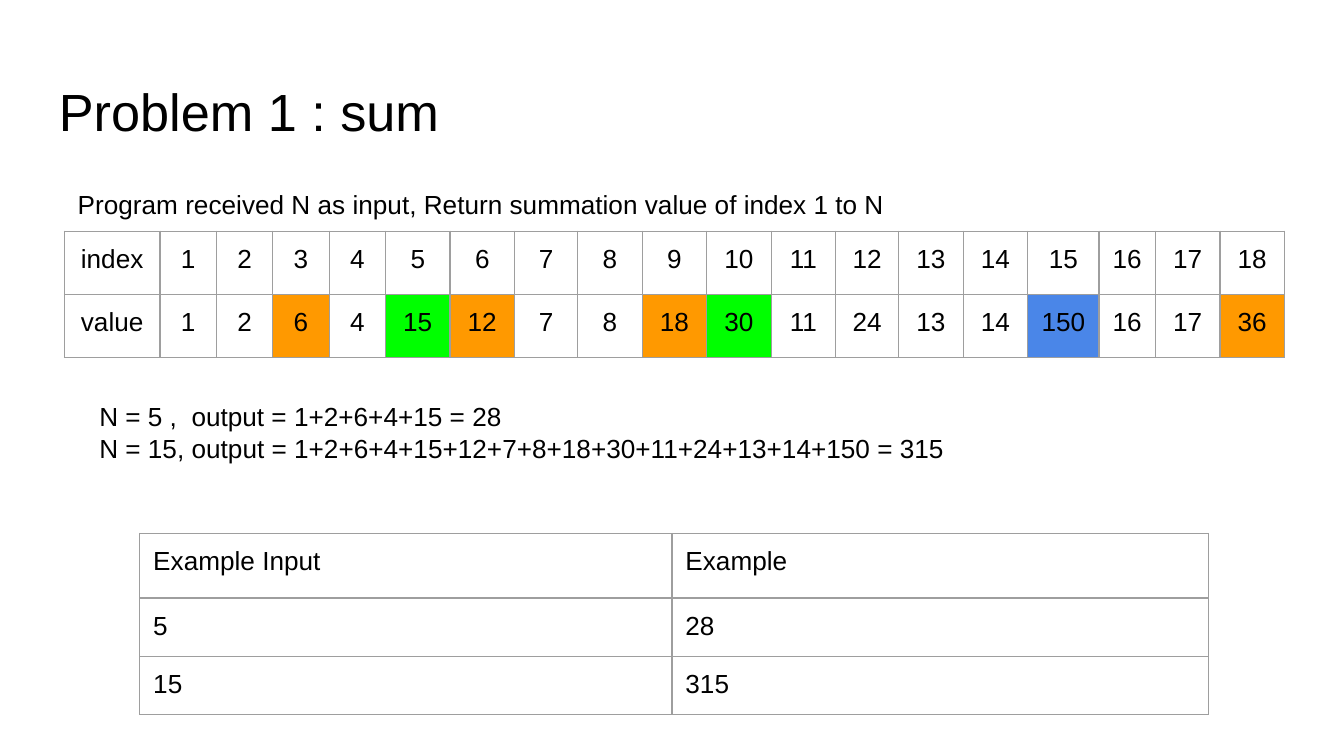
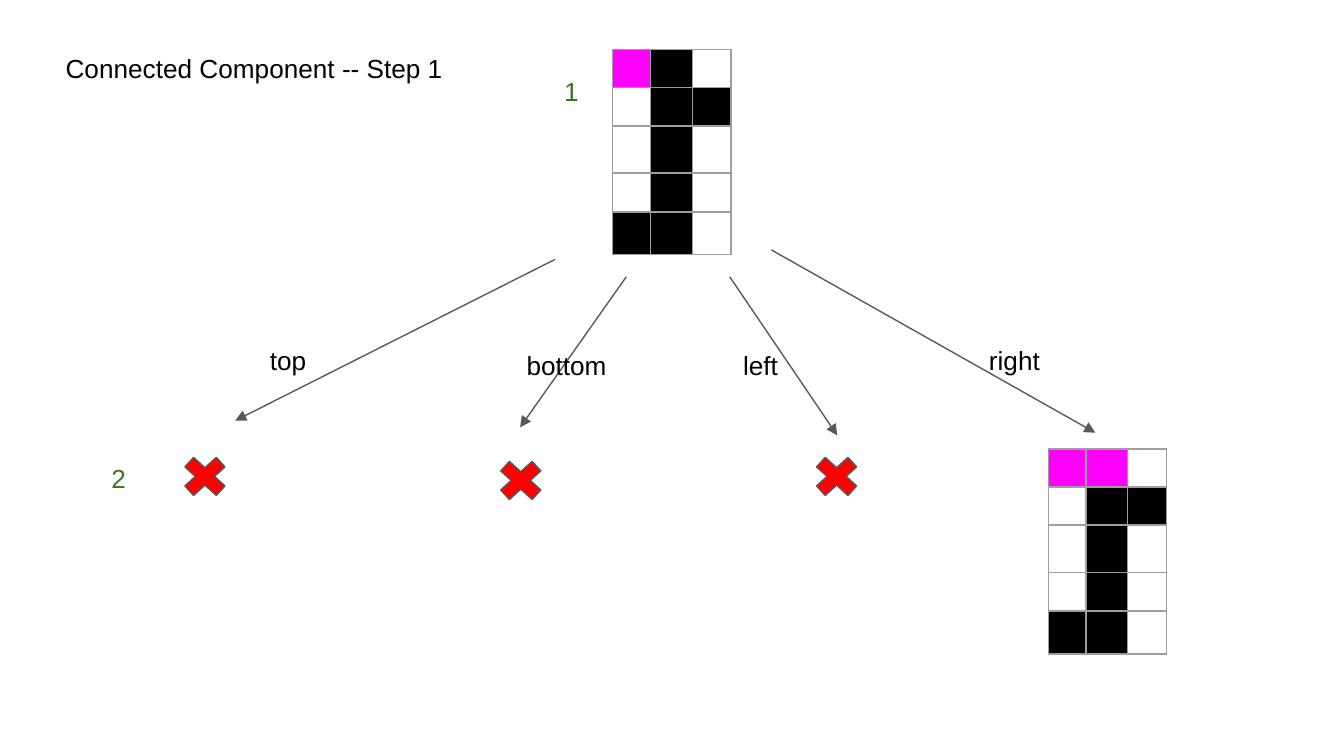
import pptx
import pptx.util
import pptx.dml.color
import pptx.enum.shapes
import pptx.enum.text
import pptx.oxml
import pptx.oxml.ns
import lxml.etree

PX = 9144  # 100 px to the inch
FONT = "Arial"
INSET = 10
COLORS = {
    "ink": "000000",
    "paper": "FFFFFF",
    "edge": "9E9E9E",
    "line": "595959",
    "orange": "FF9900",
    "lime": "00FF00",
    "blue": "4A86E8",
    "pink": "FF00FF",
    "red": "FF0000",
    "green": "38761D",
}
ALIGN = pptx.enum.text.PP_ALIGN


def px(size):
    return pptx.util.Emu(size * PX)


def rgb(name):
    return pptx.dml.color.RGBColor.from_string(COLORS[name])


def child(node, tag, **attrs):
    return lxml.etree.SubElement(node, pptx.oxml.ns.qn(tag), **attrs)


def write(frame, text, size=14, color="ink", align=ALIGN.LEFT):
    """Fill a text frame, one paragraph a line."""
    for i, line in enumerate(text.split("\n")):
        para = frame.add_paragraph() if i else frame.paragraphs[0]
        para.alignment = align
        run = para.add_run()
        run.text = line
        run.font.name = FONT
        run.font.size = pptx.util.Pt(size)
        run.font.color.rgb = rgb(color)


def pad(item):
    """Set the same inset on all sides of a cell or text frame."""
    item.margin_left = item.margin_right = px(INSET)
    item.margin_top = item.margin_bottom = px(INSET)


def label(slide, text, left, top, width, height, **style):
    box = slide.shapes.add_textbox(px(left), px(top), px(width), px(height))
    frame = box.text_frame
    frame.word_wrap = True
    pad(frame)
    write(frame, text, **style)


def stroke(line):
    line.color.rgb = rgb("line")
    line.width = pptx.util.Pt(0.75)


def edge(cell):
    """Draw the four borders of a cell."""
    props = cell._tc.get_or_add_tcPr()
    for tag in ("a:lnL", "a:lnR", "a:lnT", "a:lnB"):
        line = child(props, tag, w="9525")
        child(child(line, "a:solidFill"), "a:srgbClr", val=COLORS["edge"])


def table(slide, left, top, cols, rows):
    """Add a bordered table without fills."""
    grid = slide.shapes.add_table(
        len(rows), len(cols), px(left), px(top), px(sum(cols)), px(sum(rows))
    ).table
    grid.first_row = grid.horz_banding = False
    for col, width in zip(grid.columns, cols):
        col.width = px(width)
    for row, height in zip(grid.rows, rows):
        row.height = px(height)
    for cell in grid.iter_cells():
        pad(cell)
        edge(cell)
        cell.fill.background()
    return grid


def fill(grid, lines, align=ALIGN.LEFT):
    """Write rows of items into the cells."""
    for r, line in enumerate(lines):
        for c, item in enumerate(line):
            write(grid.cell(r, c).text_frame, str(item), align=align)


def paint(cell, color):
    cell.fill.solid()
    cell.fill.fore_color.rgb = rgb(color)


def series(slide, left, top):
    """Table of indexes and values, with the special values marked."""
    values = [1, 2, 6, 4, 15, 12, 7, 8, 18, 30, 11, 24, 13, 14, 150, 16, 17, 36]
    marks = {3: "orange", 5: "lime", 6: "orange", 9: "orange",
             10: "lime", 15: "blue", 18: "orange"}
    cols = [71] + [42] * 4 + [48, 48, 47, 48, 48] * 2 + [53, 42, 48, 48]
    grid = table(slide, left, top, cols, [47, 47])
    fill(grid, [["index", *range(1, len(values) + 1)], ["value", *values]],
         ALIGN.CENTER)
    for c, color in marks.items():
        paint(grid.cell(1, c), color)


def samples(slide, left, top):
    """Table of example inputs and outputs."""
    grid = table(slide, left, top, [396, 399], [48, 30, 30])
    fill(grid, [("Example Input", "Example"), (5, 28), (15, 315)])


def bitmap(slide, left, top, first):
    """Pixel grid; first is the pattern of its top row."""
    keys = {"#": "ink", "o": "pink"}
    grid = table(slide, left, top, [28, 31, 29], [25, 25, 35, 29, 32])
    for r, line in enumerate([first, ".##", ".#.", ".#.", "##."]):
        for c, key in enumerate(line):
            cell = grid.cell(r, c)
            child(cell.text_frame.paragraphs[0]._p, "a:endParaRPr", sz="500")
            if key in keys:
                paint(cell, keys[key])


def arrow(slide, x1, y1, x2, y2):
    line = slide.shapes.add_connector(
        pptx.enum.shapes.MSO_CONNECTOR.STRAIGHT, px(x1), px(y1), px(x2), px(y2)
    )
    stroke(line.line)
    child(line.line._get_or_add_ln(), "a:tailEnd", type="triangle")
    child(line._element.spPr, "a:effectLst")


def cross(slide, left, top):
    mark = slide.shapes.add_shape(
        pptx.enum.shapes.MSO_SHAPE.MATH_MULTIPLY, px(left), px(top), px(45), px(41)
    )
    mark.adjustments[0] = 0.235
    mark.shadow.inherit = False
    mark.fill.solid()
    mark.fill.fore_color.rgb = rgb("red")
    stroke(mark.line)


def branches(slide):
    """Four directions: arrow ends, then the name and its box."""
    for ends, name, left, top, width in [
        ((413, 193, 175, 313), "top", 191, 246, 59),
        ((466, 206, 387, 318), "bottom", 382, 250, 80),
        ((543, 206, 623, 324), "left", 543, 250, 59),
        ((574, 186, 815, 322), "right", 726, 246, 59),
    ]:
        arrow(slide, *ends)
        label(slide, name, left, top, width, 44)


def problem(slide):
    label(slide, "Problem 1 : sum", 34, 49, 932, 63, size=28)
    samples(slide, 104, 397)
    series(slide, 48, 172)
    label(slide, "Program received N as input, Return summation value of index 1 to N",
          48, 130, 908, 39)
    label(slide, "N = 5 ,  output = 1+2+6+4+15 = 28\n"
          "N = 15, output = 1+2+6+4+15+12+7+8+18+30+11+24+13+14+150 = 315",
          64, 288, 908, 85)


def search(slide):
    bitmap(slide, 456, 37, "o#.")
    bitmap(slide, 780, 334, "oo.")
    branches(slide)
    label(slide, "1", 410, 46, 33, 37, color="green")
    label(slide, "2", 73, 334, 33, 37, color="green")
    for left, top in [(130, 334), (365, 337), (600, 334)]:
        cross(slide, left, top)
    label(slide, "Connected Component -- Step 1", 39, 29, 306, 34)


def main():
    deck = pptx.Presentation()
    deck.slide_width = px(1000)
    deck.slide_height = deck.slide_width * 9 // 16
    for build in (problem, search):
        slide = deck.slides.add_slide(deck.slide_layouts[6])
        slide.background.fill.solid()
        slide.background.fill.fore_color.rgb = rgb("paper")
        build(slide)
    deck.save("out.pptx")


if __name__ == "__main__":
    main()
